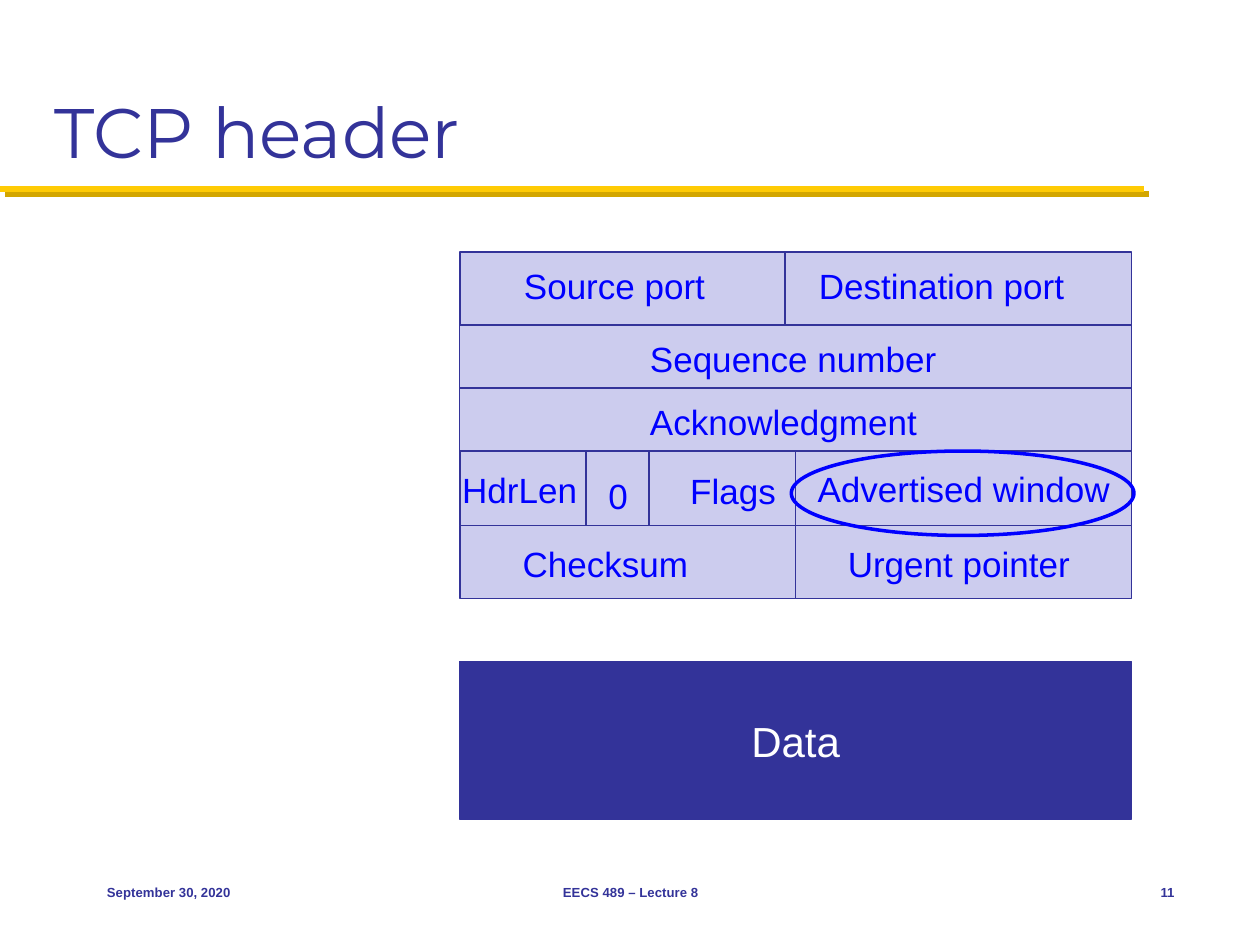
from lxml import etree
from pptx import Presentation
from pptx.dml.color import RGBColor
from pptx.enum.shapes import MSO_CONNECTOR as Connector, MSO_SHAPE as Shape
from pptx.enum.text import MSO_ANCHOR as Anchor, MSO_AUTO_SIZE as AutoSize, PP_ALIGN as Align
from pptx.oxml import parse_xml
from pptx.oxml.ns import nsdecls, qn
from pptx.util import Inches, Pt

NAVY = RGBColor(0x33, 0x33, 0x99)
LAVENDER = RGBColor(0xCC, 0xCC, 0xEE)
BLUE = RGBColor(0x00, 0x00, 0xFF)
GOLD = RGBColor(0xFF, 0xCB, 0x05)
WHITE = RGBColor(0xFF, 0xFF, 0xFF)

RULE_SHADOW = (
    f'<a:effectLst {nsdecls("a")}><a:outerShdw dist="53340" dir="2700000" algn="ctr" rotWithShape="0">'
    '<a:srgbClr val="D3A600"/></a:outerShdw></a:effectLst>'
)

HEADER_WIDTH = 5.33
HALF = HEADER_WIDTH / 2
ROW_HEIGHTS = [0.58, 0.5, 0.5, 0.59, 0.58]
ROW_TOPS = [sum(ROW_HEIGHTS[:row]) for row in range(len(ROW_HEIGHTS))]
ROW_WIDTHS = [[2.58, 2.75], [HEADER_WIDTH], [HEADER_WIDTH], [HALF, HALF], [HALF, HALF]]
FLAG_DIVIDERS = [1, 1.5]
FIELD_LABELS = [
    ("Source port", 0.41, 0.05, 1.65),
    ("Destination port", 2.75, 0.05, 2.16),
    ("Sequence number", 1.41, 0.63, 2.49),
    ("Acknowledgment", 1.41, 1.13, 2.35),
    ("HdrLen", -0.08, 1.67, 1.13),
    ("0", 1.08, 1.72, 0.37),
    ("Flags", 1.73, 1.68, 0.9),
    ("Advertised window", 2.74, 1.66, 2.55),
    ("Checksum", 0.4, 2.26, 1.53),
    ("Urgent pointer", 2.98, 2.26, 1.98),
]


def write(frame, text, size, color, align=Align.LEFT, font="Arial", bold=False):
    """Write one formatted run into a text frame."""
    paragraph = frame.paragraphs[0]
    paragraph.alignment = align
    run = paragraph.add_run()
    run.text = text
    run.font.size = Pt(size)
    run.font.name = font
    run.font.bold = bold
    run.font.color.rgb = color


def add_line(slide, start, end, color, width):
    """Add a straight line without a shadow and return it."""
    ends = [Inches(value) for value in (*start, *end)]
    line = slide.shapes.add_connector(Connector.STRAIGHT, *ends)
    line.line.color.rgb = color
    line.line.width = Pt(width)
    etree.SubElement(line._element.spPr, qn("a:effectLst"))
    return line


def add_block(slide, left, top, width, height, fill, line=NAVY, weight=0.75, kind=Shape.RECTANGLE):
    """Add an outlined shape, hollow when fill is None."""
    block = slide.shapes.add_shape(kind, Inches(left), Inches(top), Inches(width), Inches(height))
    block.shadow.inherit = False
    if fill is None:
        block.fill.background()
    else:
        block.fill.solid()
        block.fill.fore_color.rgb = fill
    block.line.color.rgb = line
    block.line.width = Pt(weight)
    return block


def add_title(slide, left, top, width, height):
    """Place the title and the gold rule under it."""
    rule = add_line(slide, (0, 1.5), (9.08, 1.5), GOLD, 3.5)
    properties = rule._element.spPr
    properties.replace(properties.find(qn("a:effectLst")), parse_xml(RULE_SHADOW))
    title = slide.shapes.title
    title.left, title.top = Inches(left), Inches(top)
    title.width, title.height = Inches(width), Inches(height)
    title.text_frame.vertical_anchor = Anchor.BOTTOM
    write(title.text_frame, "TCP header", 40, NAVY, font="Montserrat")


def add_header_fields(slide, left, top):
    """Draw the rows of header fields, their labels and the highlight."""
    for row_top, height, widths in zip(ROW_TOPS, ROW_HEIGHTS, ROW_WIDTHS):
        for column, width in enumerate(widths):
            add_block(slide, left + sum(widths[:column]), top + row_top, width, height, LAVENDER)
    flags_top = top + ROW_TOPS[3]
    for offset in FLAG_DIVIDERS:
        x = left + offset
        add_line(slide, (x, flags_top), (x, flags_top + ROW_HEIGHTS[3]), NAVY, 0.75)
    for text, x, y, width in FIELD_LABELS:
        label = slide.shapes.add_textbox(Inches(left + x), Inches(top + y), Inches(width), Inches(0.43))
        label.text_frame.word_wrap = False
        label.text_frame.auto_size = AutoSize.SHAPE_TO_FIT_TEXT
        write(label.text_frame, text, 20, BLUE)
    add_block(slide, left + 2.63, flags_top, 2.72, 0.67, None, BLUE, 2, Shape.OVAL)


def add_data(slide, left, top, width, height):
    """Draw the payload block."""
    data = add_block(slide, left, top, width, height, NAVY)
    data.text_frame.word_wrap = False
    data.text_frame.vertical_anchor = Anchor.MIDDLE
    write(data.text_frame, "Data", 24, WHITE, Align.CENTER)


def add_footer(slide, top, height):
    """Place the date, the lecture name and the page number."""
    for text, left, width, align in (
        ("September 30, 2020", 0.75, 2.08, Align.LEFT),
        ("EECS 489 – Lecture 8", 3.42, 3.17, Align.CENTER),
        ("11", 8.75, 0.67, Align.RIGHT),
    ):
        note = slide.shapes.add_textbox(Inches(left), Inches(top), Inches(width), Inches(height))
        note.text_frame.word_wrap = True
        note.text_frame.vertical_anchor = Anchor.MIDDLE
        write(note.text_frame, text, 7.5, NAVY, align, bold=True)


def main():
    """Build the slide and save it."""
    deck = Presentation()
    deck.slide_width, deck.slide_height = Inches(10), Inches(7.5)
    slide = deck.slides.add_slide(deck.slide_layouts[5])
    add_title(slide, 0.33, 0.17, 9.33, 1.25)
    add_header_fields(slide, 3.65, 2)
    add_data(slide, 3.65, 5.25, HEADER_WIDTH, 1.25)
    add_footer(slide, 6.83, 0.5)
    deck.save("out.pptx")


if __name__ == "__main__":
    main()
